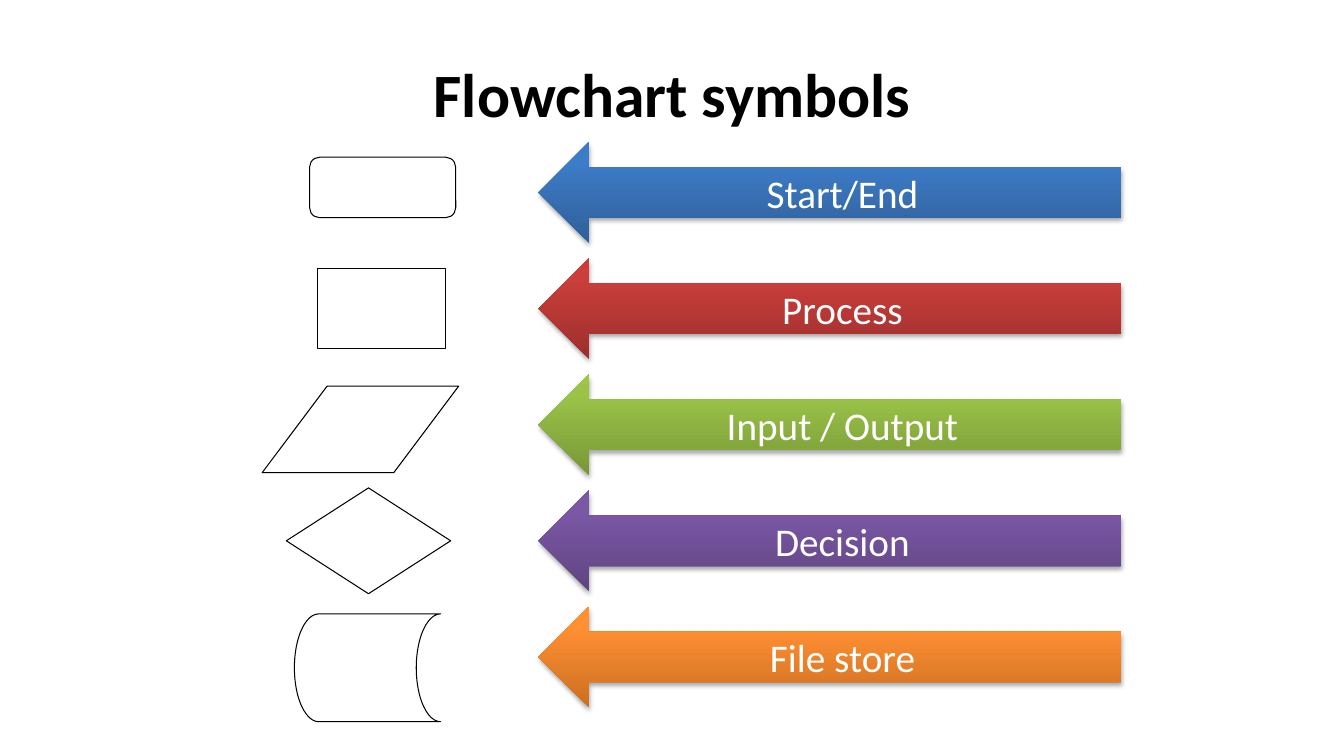
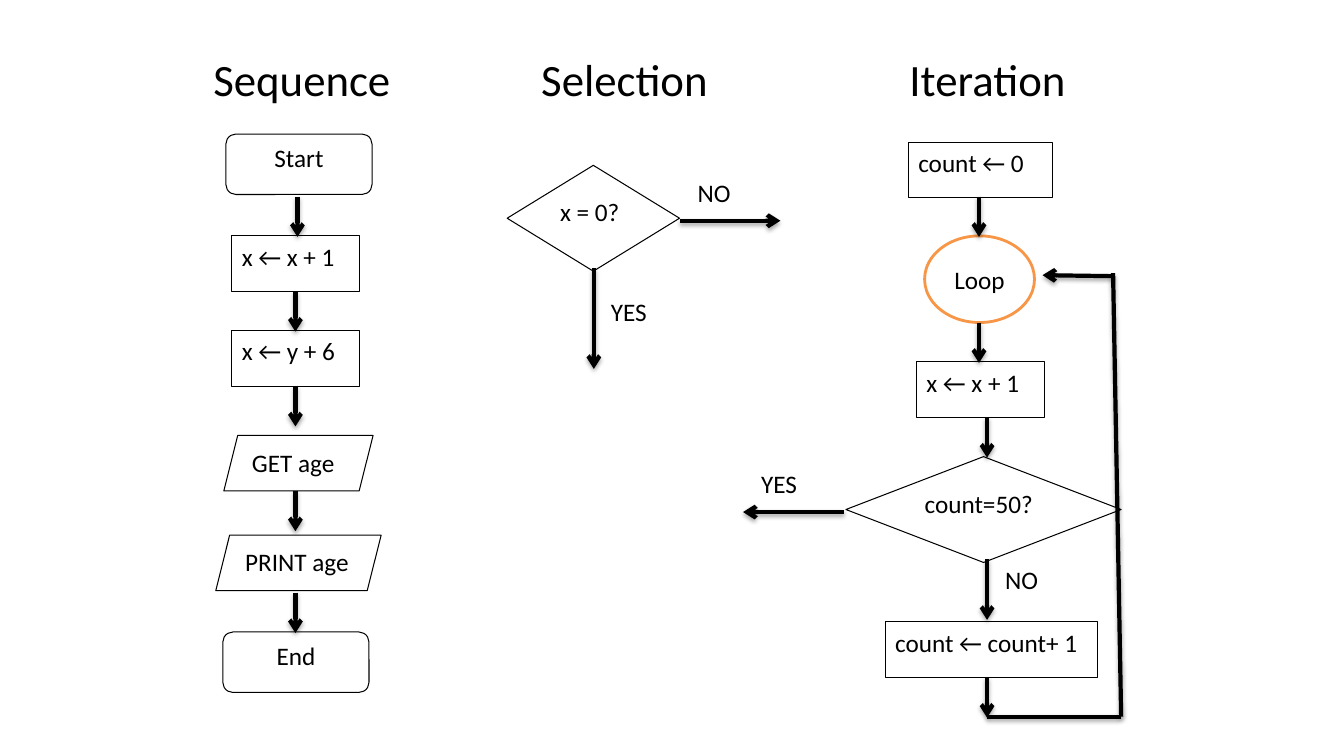
from copy import deepcopy
from lxml.etree import SubElement as Sub
from pptx import Presentation
from pptx.dml.color import RGBColor as Rgb
from pptx.enum.shapes import MSO_CONNECTOR as Link, MSO_SHAPE as Kind
from pptx.enum.text import MSO_ANCHOR as Anchor, PP_ALIGN as Align
from pptx.oxml.ns import qn
from pptx.util import Cm, Pt

INCH = 2.54
HUES = {
    "ink": "000000", "paper": "FFFFFF", "ring": "F79646",
    "blue": ("2F5F99", "3D7CC7", "3A7CCB"),
    "red": ("9C2F2D", "CB3E3A", "CE3B37"),
    "green": ("779737", "9BC348", "9DC746"),
    "purple": ("5F4480", "7B58A6", "7C57A8"),
    "orange": ("CC6E20", "FF9034", "FF9136"),
}
SHADE = {"blurRad": "40000", "dist": "23000", "dir": "5400000", "rotWithShape": "0"}
MID = {"anchor": Anchor.MIDDLE, "align": Align.CENTER}
LOOKS = {
    "title": {**MID, "size": 44, "bold": True},
    "head": {**MID, "size": 32},
    "arrow": {**MID, "size": 28, "hue": "paper"},
    "step": {"size": 18},
    "end": {"size": 18, "align": Align.CENTER},
    "loop": {**MID, "size": 18, "edge": "ring", "width": 2},
}


def draw(page, kind, at, text="", look="step"):
    style = LOOKS[look]
    place = [Cm(v * INCH) for v in at]
    if kind is None:
        shape = page.shapes.add_textbox(*place)
    else:
        shape = page.shapes.add_shape(kind, *place)
        shape.shadow.inherit = False
        shape.fill.solid()
        shape.fill.fore_color.rgb = Rgb.from_string(HUES["paper"])
        shape.line.color.rgb = Rgb.from_string(HUES[style.get("edge", "ink")])
        shape.line.width = Pt(style.get("width", 0.75))
    frame = shape.text_frame
    frame.word_wrap = True
    frame.vertical_anchor = style.get("anchor", Anchor.TOP)
    if text:
        para = frame.paragraphs[0]
        para.alignment = style.get("align", Align.LEFT)
        run = para.add_run()
        run.text = text
        form = {"name": "Calibri", "size": Pt(style["size"]), "bold": style.get("bold", False)}
        for key, val in form.items():
            setattr(run.font, key, val)
        run.font.color.rgb = Rgb.from_string(HUES[style.get("hue", "ink")])
    return shape


def cast(effect):
    shade = Sub(effect, qn("a:outerShdw"), SHADE)
    tint = Sub(shade, qn("a:srgbClr"), val=HUES["ink"])
    Sub(tint, qn("a:alpha"), val="35000")


deck = Presentation()
deck.slide_width, deck.slide_height = Cm(13.33 * INCH), Cm(7.5 * INCH)
blank = deck.slide_layouts[6]

page = deck.slides.add_slide(blank)
draw(page, None, (0.67, 0.3, 12, 1.25), "Flowchart symbols", "title")

signs = [
    (Kind.ROUNDED_RECTANGLE, (3.07, 1.56, 1.45, 0.6), "Start/End", "blue"),
    (Kind.RECTANGLE, (3.15, 2.66, 1.27, 0.8), "Process", "red"),
    (Kind.PARALLELOGRAM, (2.6, 3.83, 1.95, 0.86), "Input / Output", "green"),
    (Kind.DIAMOND, (2.84, 4.84, 1.63, 1.05), "Decision", "purple"),
    (Kind.FLOWCHART_STORED_DATA, (2.92, 6.09, 1.45, 1.07), "File store", "orange"),
]
for row, (kind, at, text, hue) in enumerate(signs):
    sign = draw(page, kind, at)
    if kind == Kind.PARALLELOGRAM:
        sign.adjustments[0] = 0.75
    arrow = draw(page, Kind.LEFT_ARROW, (5.34, 1.41 + row * 1.152, 5.78, 1), text, "arrow")
    arrow.line.fill.background()
    arrow.fill.gradient()
    arrow.fill.gradient_angle = 90
    props = arrow._element.spPr
    stops = props.find(".//" + qn("a:gsLst"))
    stops.insert(1, deepcopy(stops[0]))
    for stop, spot, tone in zip(arrow.fill.gradient_stops, (0, 0.8, 1), HUES[hue]):
        stop.position = spot
        stop.color.rgb = Rgb.from_string(tone)
    cast(props.find(qn("a:effectLst")))

page = deck.slides.add_slide(blank)
for left, text in [(1.9, "Sequence"), (5.1, "Selection"), (8.7, "Iteration")]:
    draw(page, None, (left, 0.39, 2.19, 0.77), text, "head")

nodes = [
    (Kind.ROUNDED_RECTANGLE, (2.24, 1.33, 1.45, 0.6), "Start", "end"),
    (Kind.RECTANGLE, (2.3, 2.34, 1.27, 0.55), "x ← x + 1", "step"),
    (Kind.RECTANGLE, (2.3, 3.28, 1.27, 0.55), "x ← y + 6", "step"),
    (Kind.PARALLELOGRAM, (2.22, 4.32, 1.48, 0.55), "GET age", "step"),
    (Kind.PARALLELOGRAM, (2.14, 5.31, 1.64, 0.55), "PRINT age", "step"),
    (Kind.ROUNDED_RECTANGLE, (2.21, 6.27, 1.45, 0.6), "End", "end"),
    (Kind.DIAMOND, (5.03, 1.64, 1.71, 1.05), "x = 0?", "step"),
    (Kind.RECTANGLE, (9.01, 1.41, 1.43, 0.55), "count ← 0", "step"),
    (Kind.OVAL, (9.17, 2.34, 1.09, 0.86), "Loop", "loop"),
    (Kind.RECTANGLE, (9.09, 3.59, 1.27, 0.55), "x ← x + 1", "step"),
    (Kind.DIAMOND, (8.39, 4.53, 2.73, 1.05), "count=50?", "step"),
    (Kind.RECTANGLE, (8.78, 6.17, 2.11, 0.55), "count ← count+ 1", "step"),
]
for node in nodes:
    draw(page, *node)

tags = [(6.82, 1.71, "NO"), (5.96, 2.89, "YES"), (9.87, 5.55, "NO"), (7.45, 4.6, "YES")]
for left, top, text in tags:
    draw(page, None, (left, top, 0.7, 0.4), text)

drops = [
    (2.95, 1.95, 0.4), (2.93, 2.89, 0.4), (2.93, 3.83, 0.4), (2.93, 4.87, 0.4),
    (2.93, 5.88, 0.4), (5.89, 2.66, 1), (9.71, 1.95, 0.4), (9.71, 3.2, 0.4),
    (9.79, 4.14, 0.4), (9.79, 5.55, 0.6), (9.79, 6.72, 0.4),
]
back = page.shapes.add_group_shape()
lines = [(page, (x, y, x, y + size), True) for x, y, size in drops]
lines += [
    (page, (6.74, 2.19, 7.74, 2.19), True),
    (page, (8.37, 5.08, 7.37, 5.08), True),
    (back, (11.04, 2.74, 10.34, 2.73), True),
    (back, (11.04, 2.71, 11.12, 7.11), False),
    (back, (11.12, 7.11, 9.79, 7.11), False),
]
for host, ends, tip in lines:
    line = host.shapes.add_connector(Link.STRAIGHT, *[Cm(v * INCH) for v in ends])
    line.line.width = Pt(3)
    line.line.color.rgb = Rgb.from_string(HUES["ink"])
    props = line._element.spPr
    if tip:
        Sub(props.find(qn("a:ln")), qn("a:tailEnd"), type="arrow")
    cast(Sub(props, qn("a:effectLst")))

deck.save("out.pptx")
